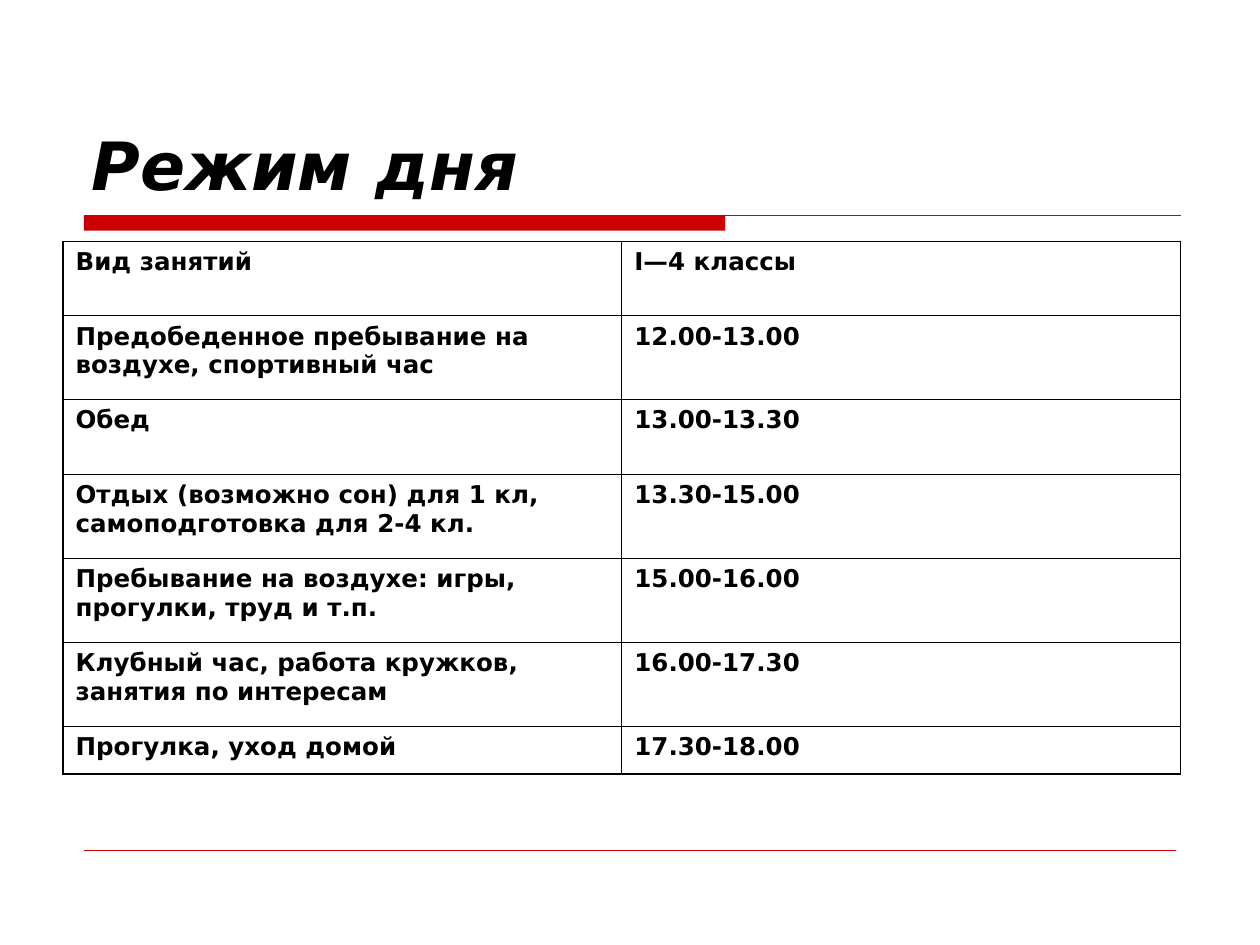
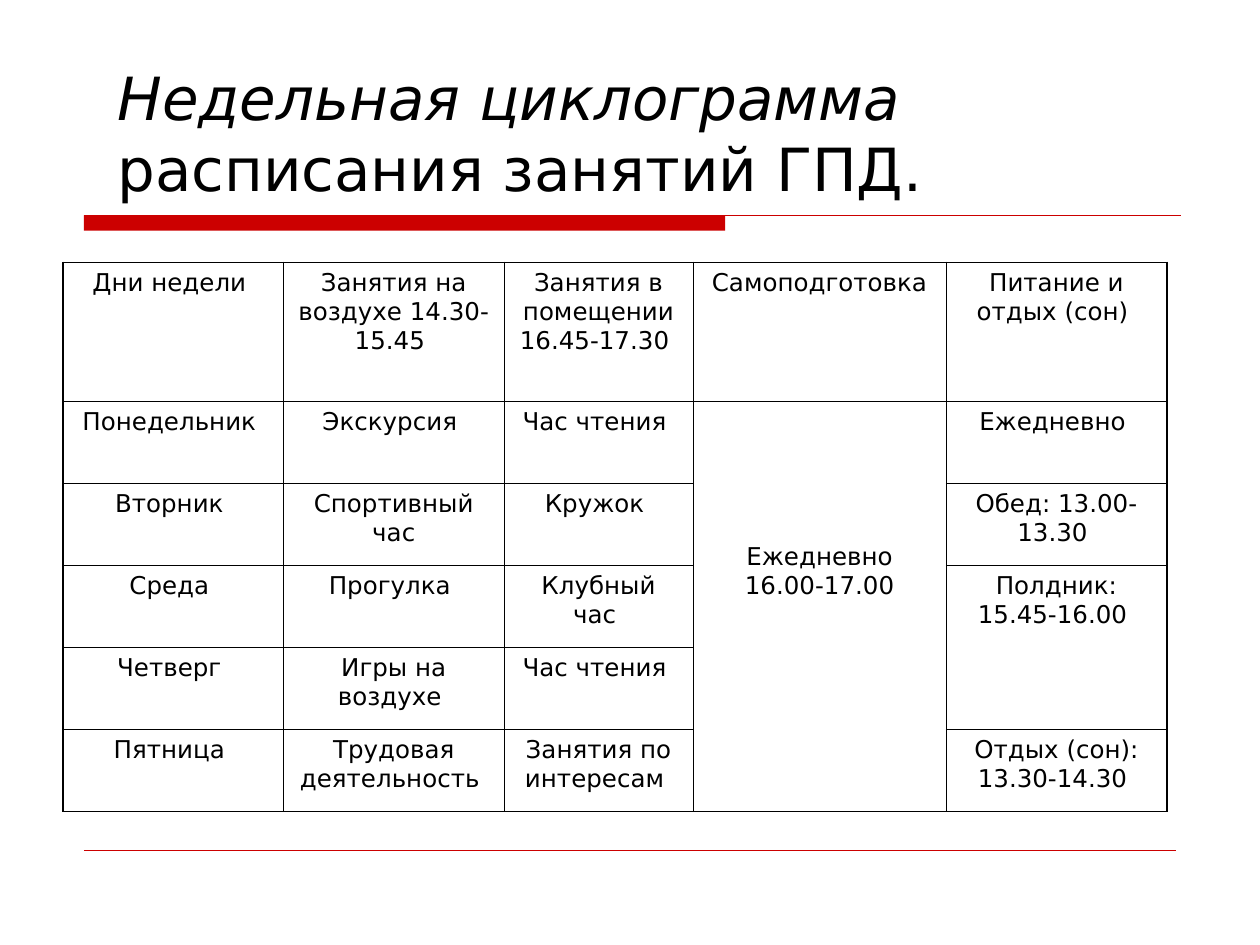
from lxml.etree import SubElement as Sub
from pptx import Presentation as Deck
from pptx.dml.color import RGBColor as Rgb
from pptx.enum.shapes import MSO_CONNECTOR as Link, MSO_SHAPE as Kind
from pptx.enum.text import MSO_ANCHOR as Anchor, MSO_AUTO_SIZE as Fit, PP_ALIGN as Align
from pptx.oxml.ns import qn
from pptx.util import Pt

RED = Rgb(0xCC, 0x00, 0x00)
BLACK = Rgb(0x00, 0x00, 0x00)
FONT = "DejaVu Sans"
THIN, THICK = 0.45, 1.08

DAY = [
    ["Вид занятий", "I—4 классы"],
    ["Предобеденное пребывание на воздухе, спортивный час", "12.00-13.00"],
    ["Обед", "13.00-13.30"],
    ["Отдых (возможно сон) для 1 кл, самоподготовка для 2-4 кл.", "13.30-15.00"],
    ["Пребывание на воздухе: игры, прогулки, труд и т.п.", "15.00-16.00"],
    ["Клубный час, работа кружков, занятия по интересам", "16.00-17.30"],
    ["Прогулка, уход домой", "17.30-18.00"],
]
WEEK = [
    ["Дни недели ", "Занятия на воздухе 14.30-15.45 ", "Занятия в помещении 16.45-17.30 ",
     "Самоподготовка", "Питание и отдых (сон) "],
    ["Понедельник ", "Экскурсия ", "Час чтения ", "Ежедневно 16.00-17.00", "Ежедневно "],
    ["Вторник ", "Спортивный час", "Кружок ", "", "Обед: 13.00-13.30 "],
    ["Среда ", "Прогулка ", "Клубный час ", "", "Полдник: 15.45-16.00 "],
    ["Четверг ", "Игры на воздухе ", "Час чтения ", "", ""],
    ["Пятница ", "Трудовая деятельность ", "Занятия по интересам ", "", "Отдых (сон): 13.30-14.30 "],
]


def style(run, size, bold=False, slant=False):
    """Format one run in the common font."""
    font = run.font
    font.name, font.size, font.bold, font.italic = FONT, Pt(size), bold, slant
    font.color.rgb = BLACK


def rule(slide, left, top, width, weight):
    """Draw a level red line."""
    line = slide.shapes.add_connector(
        Link.STRAIGHT, Pt(left), Pt(top), Pt(left + width), Pt(top))
    line.line.color.rgb = RED
    line.line.width = Pt(weight)
    Sub(line.element.spPr, qn("a:effectLst"))


def frame(slide, left=48, top=123.1):
    """Draw the red band under the title and the foot line."""
    band = slide.shapes.add_shape(Kind.RECTANGLE, Pt(left), Pt(top), Pt(366.4), Pt(8.8))
    band.shadow.inherit = False
    band.fill.solid()
    band.fill.fore_color.rgb = RED
    band.line.fill.background()
    rule(slide, left, top, 626.6, 0.75)
    rule(slide, left, 486, 624, 0.25)


def head(slide, left, parts, size, bold=False):
    """Fill the title with (text, slant) parts."""
    title = slide.shapes.title
    title.left, title.top, title.width, title.height = Pt(left), Pt(24), Pt(630), Pt(96)
    box = title.text_frame
    box.word_wrap, box.auto_size, box.vertical_anchor = True, Fit.NONE, Anchor.BOTTOM
    para = box.paragraphs[0]
    para.alignment = Align.LEFT
    for text, slant in parts:
        run = para.add_run()
        run.text = text
        style(run, size, bold, slant)


def edge(cell, sides):
    """Set the cell borders from a map of side to weight."""
    props = cell._tc.get_or_add_tcPr()
    for side, weight in sides.items():
        line = Sub(props, qn(f"a:ln{side}"), w=str(Pt(weight)))
        fill = Sub(line, qn("a:solidFill"))
        Sub(fill, qn("a:srgbClr"), val=str(BLACK))
    cell.fill.background()


def grid(slide, box, rows, wides, highs, align, bold=False):
    """Add a ruled table at the box corner and return it."""
    left, top = box
    table = slide.shapes.add_table(
        len(rows), len(wides), Pt(left), Pt(top), Pt(sum(wides)), Pt(sum(highs))).table
    table.first_row = table.horz_banding = False
    for col, wide in zip(table.columns, wides):
        col.width = Pt(wide)
    for row, high in zip(table.rows, highs):
        row.height = Pt(high)
    for y, row in enumerate(rows):
        for x, text in enumerate(row):
            cell = table.cell(y, x)
            cell.text_frame.text = text
            para = cell.text_frame.paragraphs[0]
            para.alignment, para.space_before = align, Pt(3.5)
            para.font.size = Pt(14)
            for run in para.runs:
                style(run, 14, bold)
            outer = {"L": x == 0, "R": x == len(wides) - 1,
                     "T": y == 0, "B": y == len(rows) - 1}
            edge(cell, {side: THICK if out else THIN for side, out in outer.items()})
    return table


def day(slide):
    """Build the daily routine slide."""
    frame(slide)
    head(slide, 45, [("Режим дня", True)], 38, True)
    grid(slide, (36, 138), DAY, [319.3] * 2,
         [42.5, 48, 42.5, 48, 48, 48, 27.4], Align.LEFT, True)


def week(slide):
    """Build the weekly plan slide."""
    frame(slide)
    head(slide, 60, [("Недельная циклограмма ", True), ("расписания занятий ГПД.", False)], 34)
    table = grid(slide, (36, 150), WEEK, [126, 126, 108, 144.7, 126],
                 [79.2] + [46.9] * 5, Align.CENTER)
    table.cell(1, 3).merge(table.cell(5, 3))
    table.cell(3, 4).merge(table.cell(4, 4))
    table.cell(1, 3).margin_top = Pt(80.8)


def main():
    """Make the deck and save it."""
    deck = Deck()
    deck.slide_width, deck.slide_height = Pt(720), Pt(540)
    for build in (day, week):
        build(deck.slides.add_slide(deck.slide_layouts[5]))
    deck.save("out.pptx")


if __name__ == "__main__":
    main()
